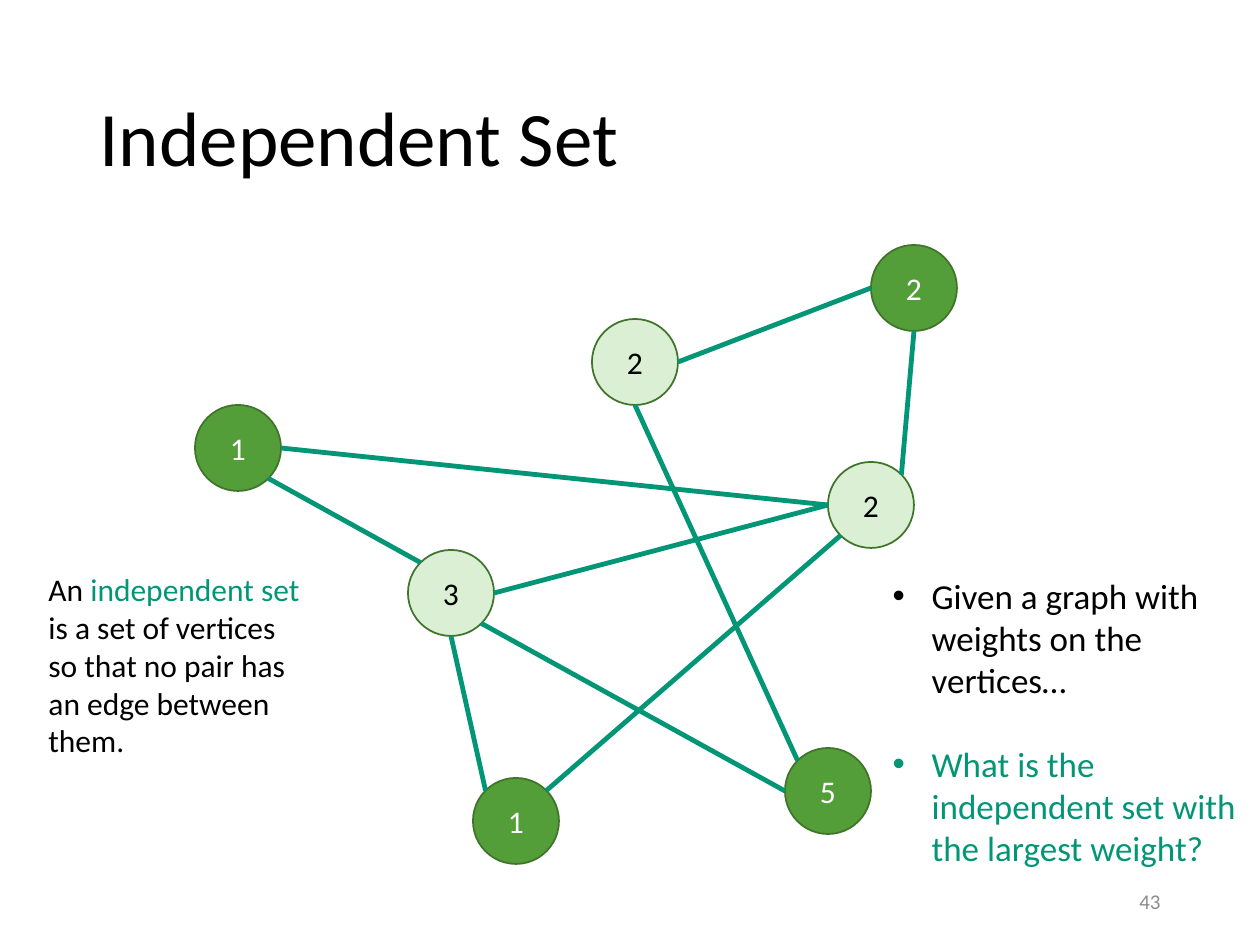
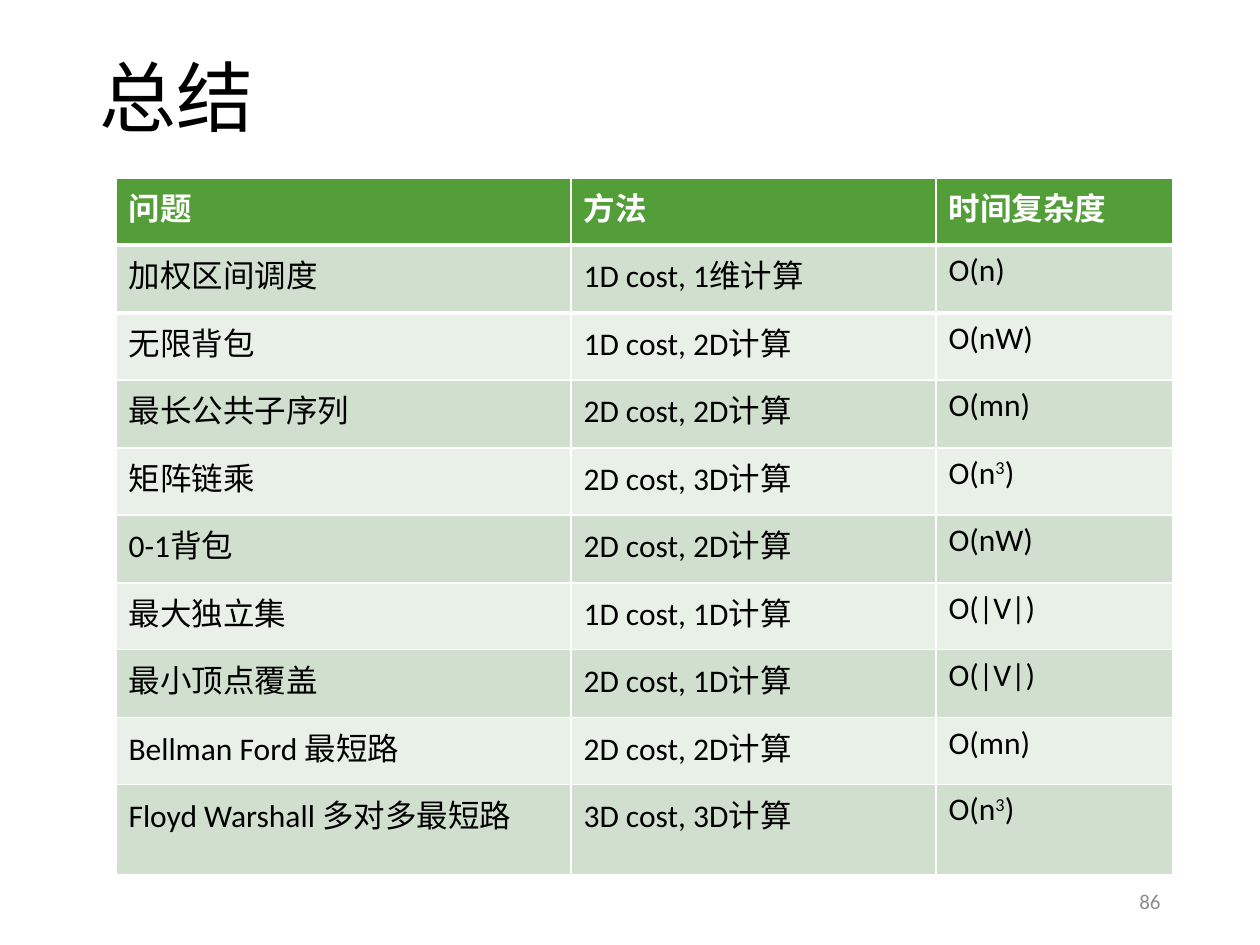
from math import cos, pi, sin

from lxml.etree import SubElement
from pptx import Presentation
from pptx.dml.color import RGBColor
from pptx.enum.shapes import MSO_CONNECTOR, MSO_SHAPE
from pptx.enum.text import MSO_ANCHOR, MSO_AUTO_SIZE, PP_ALIGN
from pptx.oxml.ns import qn
from pptx.util import Pt

COLORS = {
    "black": "000000", "white": "FFFFFF", "gray": "8C8C8C",
    "green": "549E39", "pale": "DBEFD4", "rim": "3E752A", "teal": "029676",
    "odd": "D1DFCE", "even": "E9F0E8",
}
FONT = "Calibri"
SIZE = 86  # node diameter


def px(n):
    return round(n * 914400 / 126)


def color(name):
    return RGBColor.from_string(COLORS[name])


class Deck:
    def __init__(self):
        self.prs = Presentation()
        self.prs.slide_width, self.prs.slide_height = px(1260), px(945)
        self.slide = None

    def font(self, para, size, name="black", bold=False):
        para.font.name, para.font.size = FONT, Pt(size)
        para.font.bold = bold
        para.font.color.rgb = color(name)

    def place(self, shape, box):
        shape.left, shape.top, shape.width, shape.height = map(px, box)

    def start(self, layout, title, height, number):
        """Add a slide with its title and page number."""
        self.slide = self.prs.slides.add_slide(self.prs.slide_layouts[layout])
        head = self.slide.shapes.title
        self.place(head, (87, 50, 1086, height))
        head.text_frame.text = title
        head.text_frame.vertical_anchor = MSO_ANCHOR.MIDDLE
        para = head.text_frame.paragraphs[0]
        para.alignment, para.line_spacing = PP_ALIGN.LEFT, 0.9
        self.font(para, 44)
        page = self.text((890, 876, 283, 50), [(number, "gray")], 12)
        page.vertical_anchor = MSO_ANCHOR.MIDDLE
        page.paragraphs[0].alignment = PP_ALIGN.RIGHT

    def text(self, box, runs, size):
        frame = self.slide.shapes.add_textbox(*map(px, box)).text_frame
        frame.word_wrap = True
        para = frame.paragraphs[0]
        self.font(para, size)
        for words, name in runs:
            run = para.add_run()
            run.text = words
            run.font.color.rgb = color(name)
        return frame

    def bullets(self, box, items, size, gap):
        body = self.slide.placeholders[1]
        self.place(body, box)
        frame = body.text_frame
        frame.auto_size = MSO_AUTO_SIZE.NONE
        frame.text = "\n".join(words for words, _ in items)
        for i, (para, (_, name)) in enumerate(zip(frame.paragraphs, items)):
            props = para._p.get_or_add_pPr()
            props.set("marL", str(px(39)))
            props.set("indent", str(-px(39)))
            para.space_before = Pt(gap if i else 0)
            self.font(para, size, name)

    def node(self, x, y, weight, chosen):
        dot = self.slide.shapes.add_shape(
            MSO_SHAPE.OVAL, px(x), px(y), px(SIZE), px(SIZE))
        dot.shadow.inherit = False
        dot.fill.solid()
        dot.fill.fore_color.rgb = color("green" if chosen else "pale")
        dot.line.color.rgb = color("rim")
        dot.line.width = Pt(1)
        frame = dot.text_frame
        frame.text = weight
        frame.vertical_anchor = MSO_ANCHOR.MIDDLE
        para = frame.paragraphs[0]
        para.alignment = PP_ALIGN.CENTER
        self.font(para, 18, "white" if chosen else "black")
        return dot

    def edge(self, start, end):
        """Join two (node, site) pairs; sites run anticlockwise from the top."""
        ends = []
        for dot, site in (start, end):
            turn, half = site * pi / 4, dot.width / 2
            ends += [round(dot.left + half - half * sin(turn)),
                     round(dot.top + half - half * cos(turn))]
        line = self.slide.shapes.add_connector(MSO_CONNECTOR.STRAIGHT, *ends)
        line.line.color.rgb = color("teal")
        line.line.width = Pt(2.75)
        SubElement(line._element.spPr, qn("a:effectLst"))
        glue = line._element.nvCxnSpPr.cNvCxnSpPr
        for tag, (dot, site) in (("a:stCxn", start), ("a:endCxn", end)):
            SubElement(glue, qn(tag), id=str(dot.shape_id), idx=str(site))

    def table(self, box, widths, edges, rows):
        grid = self.slide.shapes.add_table(
            len(rows), len(widths), *map(px, box)).table
        for col, width in zip(grid.columns, widths):
            col.width = px(width)
        for r, row in enumerate(rows):
            grid.rows[r].height = px(edges[r + 1] - edges[r])
            fill = "odd" if r % 2 else "even"
            for c, words in enumerate(row):
                cell = grid.cell(r, c)
                # Thick rule between the header and the first row
                if r < 2:
                    self.rule(cell, "a:lnT" if r else "a:lnB", 3)
                self.cell(cell, words, fill if r else "green", r == 0)

    def rule(self, cell, side, width):
        props = cell._tc.get_or_add_tcPr()
        line = SubElement(props, qn(side), w=str(Pt(width)))
        paint = SubElement(line, qn("a:solidFill"))
        SubElement(paint, qn("a:srgbClr"), val=COLORS["white"])

    def cell(self, cell, words, fill, head):
        cell.fill.solid()
        cell.fill.fore_color.rgb = color(fill)
        para = cell.text_frame.paragraphs[0]
        self.font(para, 18, "white" if head else "black", head)
        # A caret marks a one-character superscript
        base, _, rest = words.partition("^")
        for part, raised in ((base, False), (rest[:1], True), (rest[1:], False)):
            if part:
                run = para.add_run()
                run.text = part
                if raised:
                    run.font._element.set("baseline", "30000")


# Weighted graph: x, y, weight, in the independent set
NODES = {
    "east": (828, 462, "2", False),
    "mid": (592, 319, "2", False),
    "hub": (408, 550, "3", False),
    "low": (785, 748, "5", True),
    "west": (195, 405, "1", True),
    "top": (871, 245, "2", True),
    "south": (473, 778, "1", True),
}
EDGES = [
    ("top", 4, "east", 7), ("top", 2, "mid", 6), ("low", 1, "mid", 4),
    ("east", 2, "west", 6), ("hub", 1, "west", 5), ("hub", 5, "low", 2),
    ("south", 7, "east", 3), ("south", 1, "hub", 4), ("hub", 6, "east", 2),
]
ROWS = [
    ("问题", "方法", "时间复杂度"),
    ("加权区间调度", "1D cost, 1维计算", "O(n)"),
    ("无限背包", "1D cost, 2D计算", "O(nW)"),
    ("最长公共子序列", "2D cost, 2D计算", "O(mn)"),
    ("矩阵链乘", "2D cost, 3D计算", "O(n^3)"),
    ("0-1背包", "2D cost, 2D计算", "O(nW)"),
    ("最大独立集", "1D cost, 1D计算", "O(|V|)"),
    ("最小顶点覆盖", "2D cost, 1D计算", "O(|V|)"),
    ("Bellman Ford 最短路", "2D cost, 2D计算", "O(mn)"),
    ("Floyd Warshall 多对多最短路", "3D cost, 3D计算", "O(n^3)"),
]


def main():
    deck = Deck()

    # Independent set
    deck.start(1, "Independent Set", 183, "43")
    dots = {name: deck.node(*spec) for name, spec in NODES.items()}
    for a, i, b, j in EDGES:
        deck.edge((dots[a], i), (dots[b], j))
    # The list ends above the page number
    deck.bullets((880, 568, 380, 308), [
        ("Given a graph with weights on the vertices…", "black"),
        ("What is the independent set with the largest weight?", "teal"),
    ], 20, 24)
    deck.text((36, 564, 286, 204), [
        ("An ", "black"),
        ("independent set ", "teal"),
        ("is a set of vertices so that no pair has an edge between them.",
         "black"),
    ], 18)

    # Summary: equal rows, the last one taking what is left
    deck.start(5, "总结", 103, "86")
    edges = [i * 135 // 2 for i in range(len(ROWS))] + [697]
    deck.table((116, 178, 1057, 697), (455, 365, 237), edges, ROWS)

    deck.prs.save("out.pptx")


if __name__ == "__main__":
    main()
